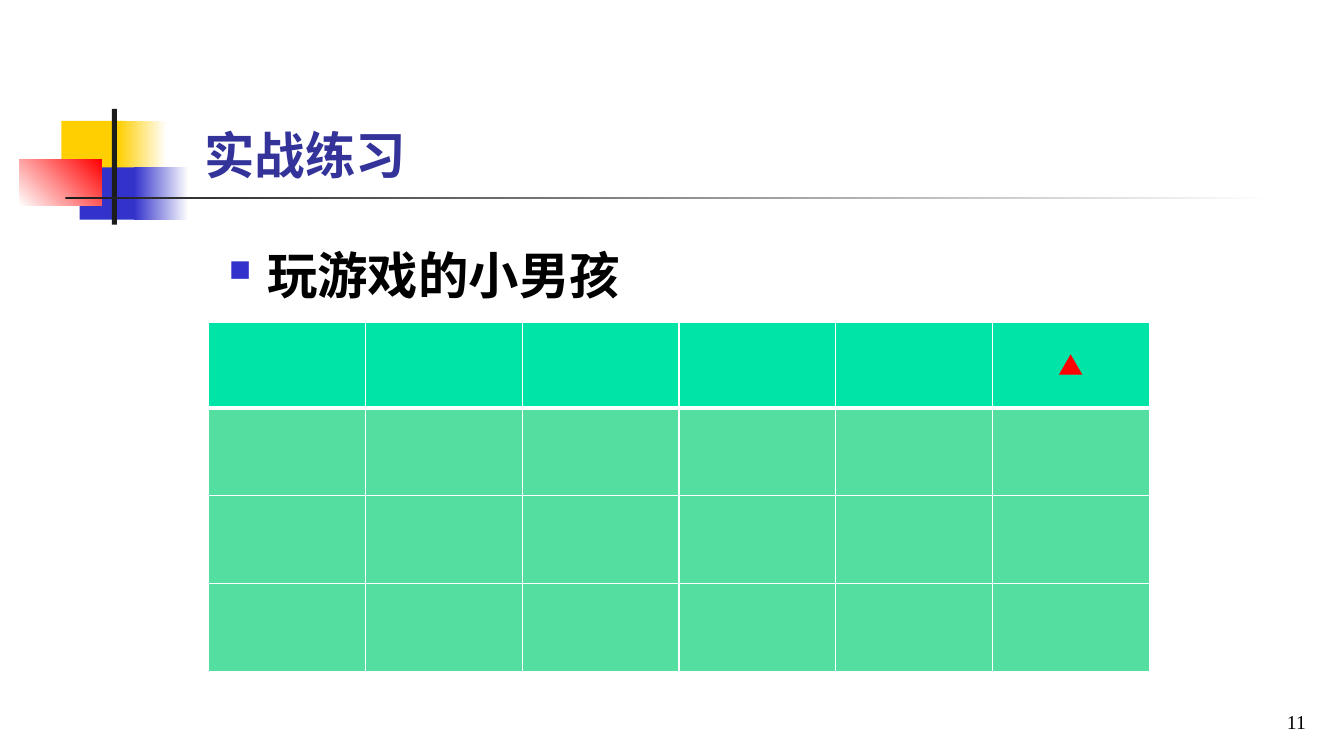
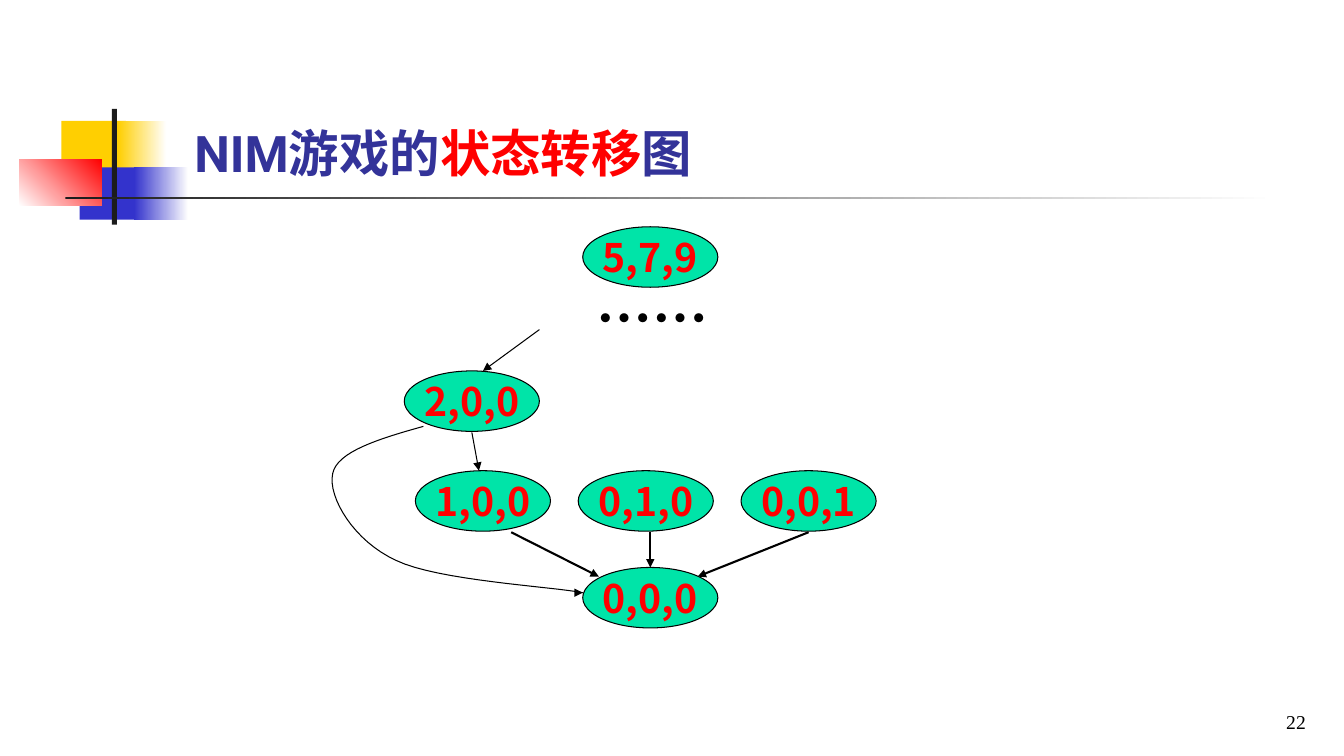
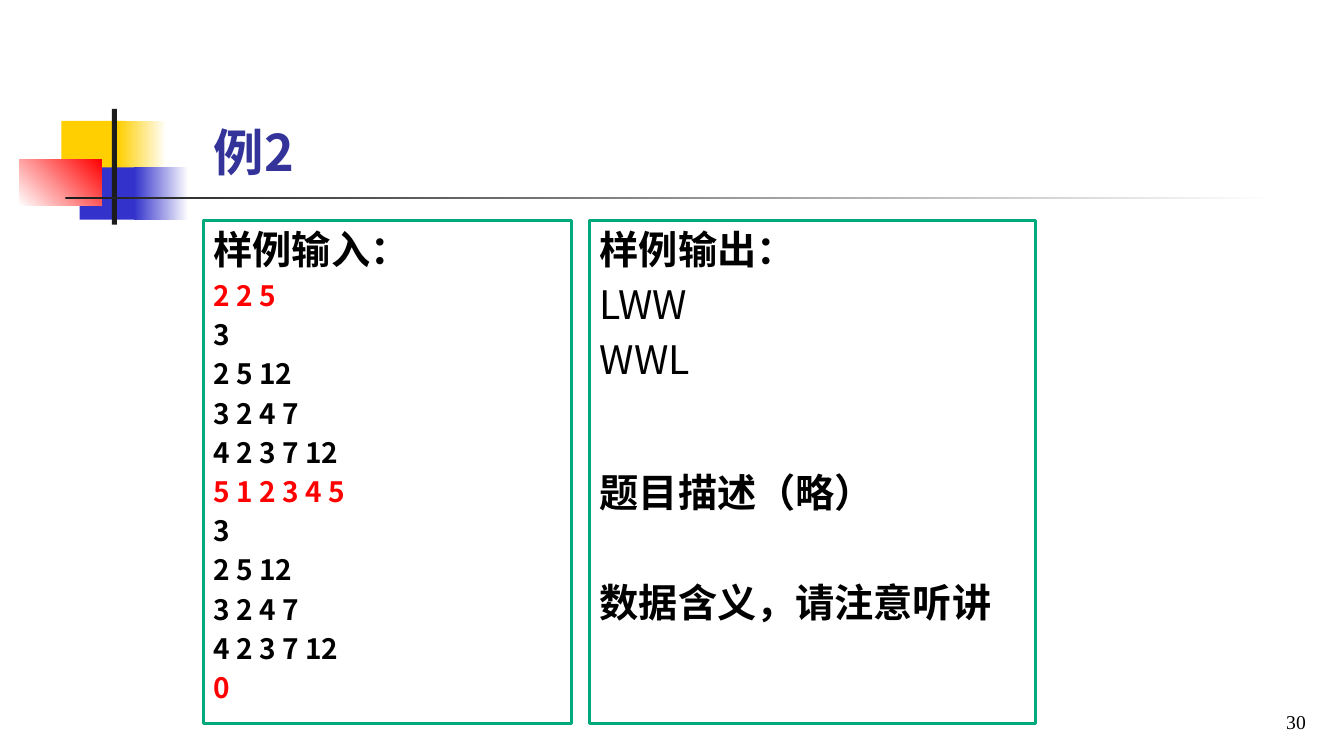
from lxml import etree
from pptx import Presentation
from pptx.dml.color import RGBColor
from pptx.enum.shapes import MSO_CONNECTOR, MSO_SHAPE
from pptx.enum.text import MSO_ANCHOR, PP_ALIGN
from pptx.oxml.ns import qn
from pptx.util import Inches, Pt

RECT, OVAL = MSO_SHAPE.RECTANGLE, MSO_SHAPE.OVAL
STRAIGHT = MSO_CONNECTOR.STRAIGHT
TOP, MIDDLE, BOTTOM = MSO_ANCHOR.TOP, MSO_ANCHOR.MIDDLE, MSO_ANCHOR.BOTTOM
LEFT, CENTER, RIGHT = PP_ALIGN.LEFT, PP_ALIGN.CENTER, PP_ALIGN.RIGHT

HEX = {
    "white": "FFFFFF", "black": "000000", "ink": "1C1C1C", "red": "FF0000",
    "yellow": "FFCF01", "blue": "3333CC", "title": "333399",
    "mint": "00E4A8", "pale mint": "54DFA0", "frame": "00A97C",
}
COLOR = {name: RGBColor.from_string(value) for name, value in HEX.items()}
SC, KR = "Noto Sans CJK SC", "Noto Sans CJK KR"
TITLE_FONT, NUMBER_FONT = "Roboto", "Times New Roman"
HANGING = Inches(0.38)


def write(frame, paragraphs, size=28, font=SC, color="black", bold=True, align=LEFT,
          anchor=TOP, wrap=True, before=0, hanging=False, spacing=None):
    """Fill a text frame; each paragraph is a list of (text, run format) pairs.

    The first run's "before" sets the space above its paragraph.
    """
    frame.word_wrap = wrap
    frame.vertical_anchor = anchor
    for number, runs in enumerate(paragraphs):
        paragraph = frame.add_paragraph() if number else frame.paragraphs[0]
        paragraph.alignment = align
        paragraph.line_spacing = spacing
        first_format = runs[0][1]
        gap = first_format.get("before", before * first_format.get("size", size))
        paragraph.space_before = Pt(gap)
        if hanging:
            properties = paragraph._p.get_or_add_pPr()
            properties.set("marL", str(HANGING))
            properties.set("indent", str(-HANGING))
        for text, changes in runs:
            run = paragraph.add_run()
            run.text = text
            run.font.size = Pt(changes.get("size", size))
            run.font.bold = changes.get("bold", bold)
            run.font.color.rgb = COLOR[changes.get("color", color)]
            run.font.name = changes.get("font", font)
            east_asian = SC if run.font.name == TITLE_FONT else run.font.name
            etree.SubElement(run.font._element, qn("a:ea"), typeface=east_asian)


def add_arrow(slide, start, end, width):
    arrow = slide.shapes.add_connector(STRAIGHT, *map(Inches, start + end))
    arrow.line.color.rgb = COLOR["black"]
    arrow.line.width = Pt(width)
    etree.SubElement(arrow.line._get_or_add_ln(), qn("a:tailEnd"), type="triangle")
    etree.SubElement(arrow._element.spPr, qn("a:effectLst"))
    return arrow


presentation = Presentation()
presentation.slide_width, presentation.slide_height = Inches(13.33), Inches(7.5)
blank_layout = presentation.slide_layouts[6]

# Shared corner ornament and title rule: box, colours, counter-clockwise angle
ornament = [
    ((0.61, 1.2, 0.64, 0.52), ["yellow"], 0),
    ((1.17, 1.2, 0.48, 0.52), ["yellow", "white"], 0),
    ((0.79, 1.66, 0.62, 0.52), ["blue"], 0),
    ((1.33, 1.66, 0.54, 0.52), ["blue", "white"], 0),
    ((0.19, 1.58, 0.82, 0.46), ["white", "red"], 45),
    ((1.11, 1.08, 0.05, 1.15), ["ink"], 0),
    ((0.65, 1.95, 12, 0.03), ["ink", "white"], 0),
]

# Title box, title runs and page number of each slide
headings = [
    ((1.93, 0.92, 7.77, 0.96), [("实战练习", {})], "11"),
    ((1.83, 0.84, 6.64, 1.02),
     [("NIM游戏的", {}), ("状态转移", {"color": "red"}), ("图", {})], "22"),
    ((2.02, 0.95, 6.18, 0.9), [("例", {}), ("2", {"font": KR})], "30"),
]
slides = []
for title_box, title_runs, page_number in headings:
    slide = presentation.slides.add_slide(blank_layout)
    for box, colors, angle in ornament:
        piece = slide.shapes.add_shape(RECT, *map(Inches, box))
        piece.shadow.inherit = False
        piece.line.fill.background()
        if len(colors) == 1:
            piece.fill.solid()
            piece.fill.fore_color.rgb = COLOR[colors[0]]
        else:
            piece.fill.gradient()
            piece.fill.gradient_angle = angle
            for stop, position, color in zip(piece.fill.gradient_stops, (0, 1), colors):
                stop.position = position
                stop.color.rgb = COLOR[color]
    title = slide.shapes.add_textbox(*map(Inches, title_box))
    write(title.text_frame, [title_runs], size=36, font=TITLE_FONT, color="title",
          anchor=BOTTOM)
    page = slide.shapes.add_textbox(*map(Inches, (10.27, 6.83, 2.78, 0.5)))
    write(page.text_frame, [[(page_number, {})]], size=14, font=NUMBER_FONT,
          bold=False, align=RIGHT, anchor=BOTTOM)
    slides.append(slide)
practice, nim, example = slides

# Practice: bulleted heading
game = practice.shapes.add_textbox(*map(Inches, (2.07, 2.37, 6.84, 0.83))).text_frame
game.margin_left = game.margin_right = Inches(0.2)
write(game, [[("玩游戏的小男孩", {})]], size=36, before=0.2, hanging=True)
bullet = game.paragraphs[0]._p.get_or_add_pPr()
bullet_color = etree.SubElement(bullet, qn("a:buClr"))
etree.SubElement(bullet_color, qn("a:srgbClr"), val=HEX["blue"])
etree.SubElement(bullet, qn("a:buSzPct"), val="60000")
etree.SubElement(bullet, qn("a:buChar"), char="■")

# Practice: game board
ROWS, COLUMNS = 4, 6
board = practice.shapes.add_table(
    ROWS, COLUMNS, *map(Inches, (2.07, 3.2, 9.33, 3.46))).table
board.horz_banding = False
for column in board.columns:
    column.width = Inches(9.33 / COLUMNS)
for r, row in enumerate(board.rows):
    row.height = Inches(0.87 if r else 0.85)
    for cell in row.cells:
        borders = {"lnL": 1, "lnR": 1, "lnT": 3 if r == 1 else 1, "lnB": 1 if r else 3}
        for side, width in borders.items():
            border = etree.SubElement(cell._tc.get_or_add_tcPr(), qn("a:" + side),
                                      w=str(Pt(width)))
            border_fill = etree.SubElement(border, qn("a:solidFill"))
            etree.SubElement(border_fill, qn("a:srgbClr"), val=HEX["white"])
        cell.fill.solid()
        cell.fill.fore_color.rgb = COLOR["pale mint" if r else "mint"]
write(board.cell(0, COLUMNS - 1).text_frame, [[("▲", {})]], size=18, color="red",
      align=CENTER, spacing=1.5)

# State graph: moves
add_arrow(nim, (5.35, 3.27), (4.79, 3.68), 0.75)
add_arrow(nim, (4.68, 4.29), (4.75, 4.67), 0.75)
add_arrow(nim, (5.07, 5.28), (5.94, 5.72), 1.5)
add_arrow(nim, (8.02, 5.28), (6.92, 5.72), 1.5)
last_move = add_arrow(nim, (6.45, 5.28), (6.45, 5.63), 1.5)

# State graph: states
states = [("5,7,9", 5.78, 2.25), ("2,0,0", 4.01, 3.68)]
states += [(state, 4.12 + 1.615 * i, 4.67)
           for i, state in enumerate(["1,0,0", "0,1,0", "0,0,1"])]
states.append(("0,0,0", 5.78, 5.63))
for state, left, top in states:
    node = nim.shapes.add_shape(OVAL, *map(Inches, (left, top, 1.34, 0.6)))
    node.shadow.inherit = False
    node.fill.solid()
    node.fill.fore_color.rgb = COLOR["mint"]
    node.line.color.rgb = COLOR["black"]
    node.line.width = Pt(0.75)
    write(node.text_frame, [[(state, {})]], font=KR, color="red", align=CENTER,
          anchor=MIDDLE, wrap=False)
last_move.end_connect(node, 0)
omitted = nim.shapes.add_textbox(*map(Inches, (5.23, 2.76, 2.48, 0.77)))
write(omitted.text_frame, [[("……", {})]], size=40, font=KR, align=CENTER)

# State graph: curved move from 2,0,0 to 0,0,0, traced along its Bézier pieces
STEPS = 16
bends = [
    [(4.2, 4.23), (3.77, 4.35), (3.34, 4.48), (3.3, 4.7)],
    [(3.3, 4.7), (3.25, 4.93), (3.51, 5.37), (3.93, 5.56)],
    [(3.93, 5.56), (4.34, 5.76), (5.48, 5.82), (5.78, 5.88)],
]
curve_points = []
for bend in bends:
    for step in range(1, STEPS + 1):
        t = step / STEPS
        weights = ((1 - t) ** 3, 3 * t * (1 - t) ** 2, 3 * t ** 2 * (1 - t), t ** 3)
        curve_points.append(tuple(
            Inches(sum(w * point[axis] for w, point in zip(weights, bend)))
            for axis in (0, 1)))
curve = nim.shapes.build_freeform(*map(Inches, bends[0][0]))
curve.add_line_segments(curve_points, close=False)
long_move = curve.convert_to_shape()
long_move.shadow.inherit = False
long_move.fill.background()
long_move.line.color.rgb = COLOR["black"]
long_move.line.width = Pt(0.75)
add_arrow(nim, (5.7, 5.88), (5.78, 5.88), 0.75)

# Example: sample input and output
data, marked = {"size": 20, "font": KR}, {"size": 20, "font": KR, "color": "red"}
queries = [[(line, data)] for line in ("3", "2 5 12", "3 2 4 7", "4 2 3 7 12")]
sample_input = [[("样例输入：", {})], [("2 2 5", marked)], *queries,
                [("5 1 2 3 4 5", marked)], *queries, [("0", marked)]]
answer = {"font": KR, "bold": False}
sample_output = [[("样例输出：", {})], [("LWW", answer)], [("WWL", answer)],
                 [("题目描述（略）", {"before": 61})],
                 [("数据含义，请注意听讲", {"before": 45})]]
for left, width, lines in [(2.02, 3.65, sample_input), (5.85, 4.42, sample_output)]:
    panel = example.shapes.add_shape(RECT, *map(Inches, (left, 2.19, width, 4.99)))
    panel.shadow.inherit = False
    panel.fill.background()
    panel.line.color.rgb = COLOR["frame"]
    panel.line.width = Pt(2.25)
    write(panel.text_frame, lines, before=0.2, hanging=True)

presentation.save("out.pptx")
